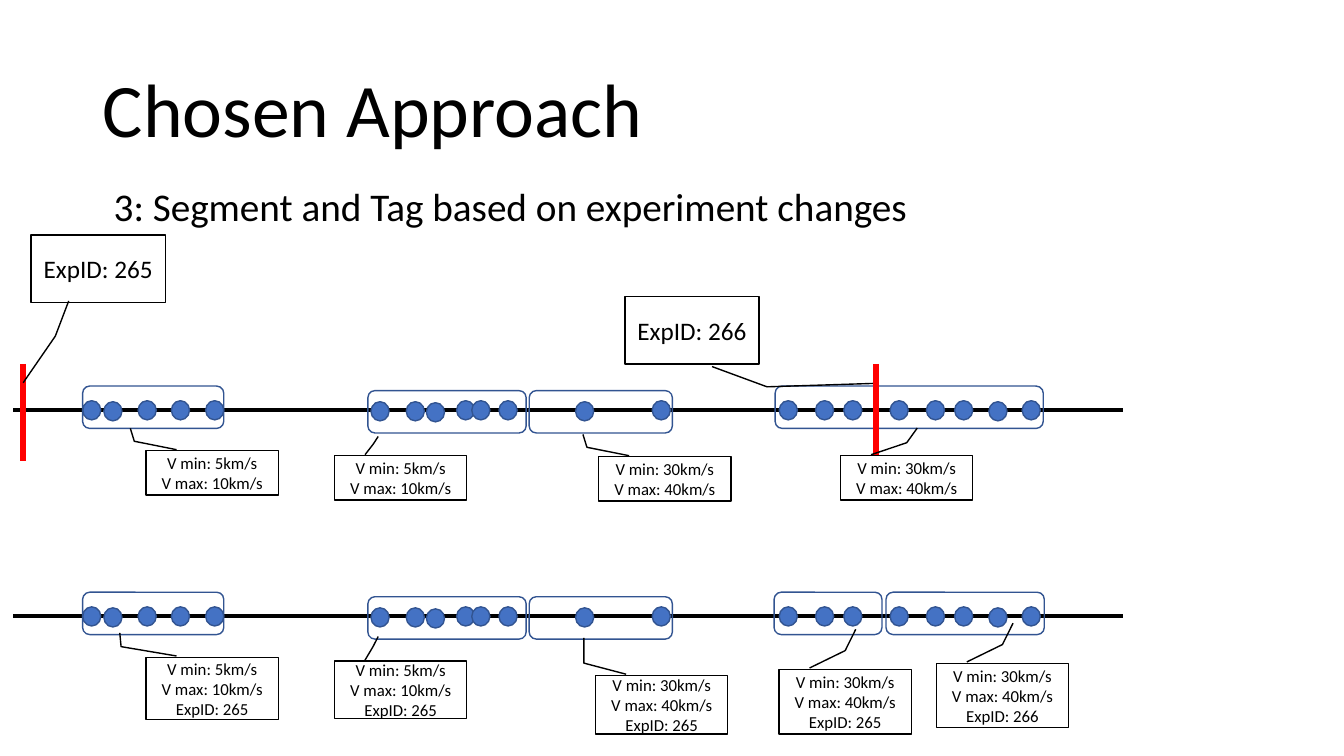
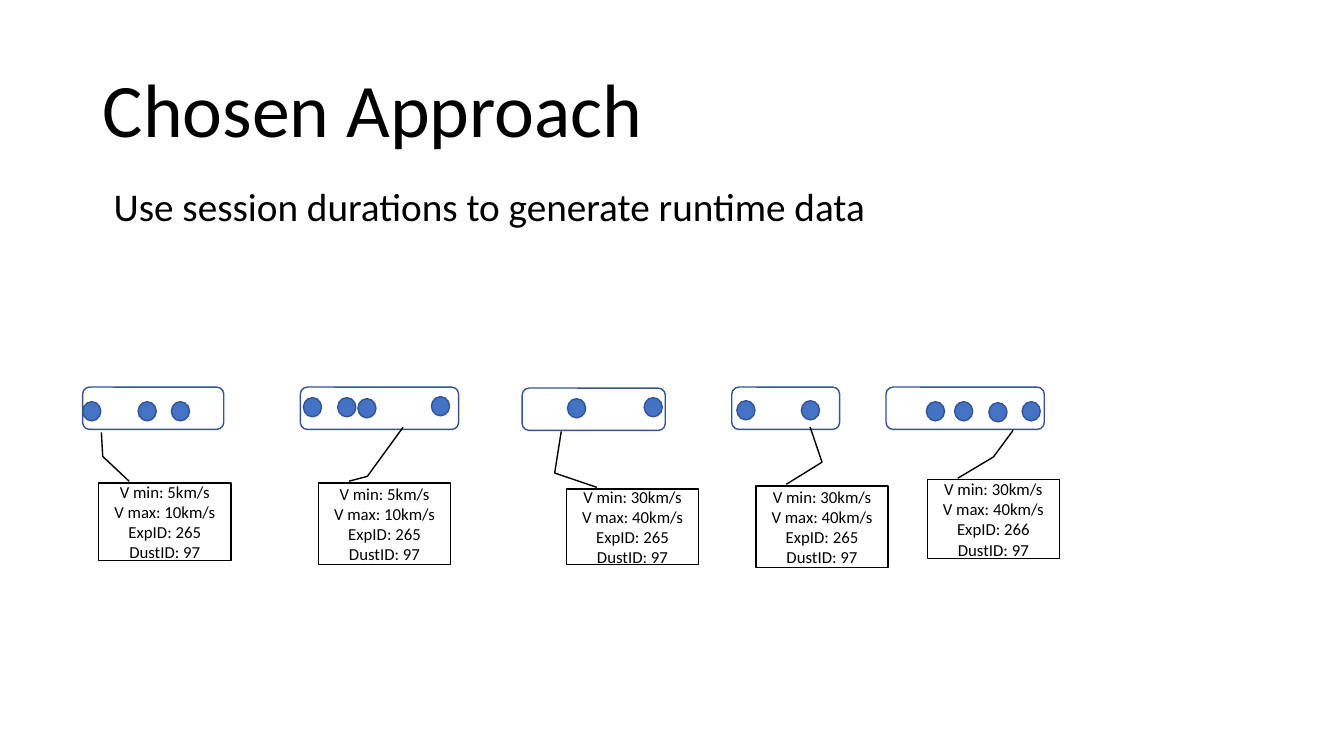
from lxml.etree import SubElement
from pptx import Presentation
from pptx.dml.color import RGBColor
from pptx.enum.shapes import MSO_CONNECTOR, MSO_SHAPE
from pptx.enum.text import MSO_ANCHOR, MSO_AUTO_SIZE, PP_ALIGN
from pptx.oxml.ns import qn
from pptx.util import Inches, Pt

# Shared look: a grid of tenth-inch cells, one font, five colours
CELL = Inches(0.1)
FONT = "Calibri"
BLACK, WHITE, RED, BLUE, NAVY = "000000", "FFFFFF", "FF0000", "4472C4", "325491"
TITLE = (9.2, 4, 115, 14.5)
LEAD = (10.3, 17.6, 115, 5.7)
DOT = (1.8, 1.9)
BOX = 4.2
TAG = 13.1
ROOT = (-0.02, 0.23)
ink = RGBColor.from_string


def span(*cells):
    return [round(cell * CELL) for cell in cells]


def put(page, kind, cells, fill=None, edge=BLACK, width=1):
    """Add a preset shape, or a straight line when kind is None."""
    if kind is None:
        item = page.shapes.add_connector(MSO_CONNECTOR.STRAIGHT, *span(*cells))
    else:
        item = page.shapes.add_shape(kind, *span(*cells))
        item.shadow.inherit = False
        if fill:
            item.fill.solid()
            item.fill.fore_color.rgb = ink(fill)
        else:
            item.fill.background()
    item.line.color.rgb = ink(edge)
    item.line.width = Pt(width)
    if kind is None:
        SubElement(item._element.spPr, qn("a:effectLst"))
    return item


# Wording of the tags
SLOW = ["V min: 5km/s", "V max: 10km/s"]
FAST = ["V min: 30km/s", "V max: 40km/s"]
OLD, NEW, DUST = ["ExpID: 265"], ["ExpID: 266"], ["DustID: 97"]

# Dots as (column, drop) and boxes as (column, drop, width), from the row's axis
dots = [(8.2, 0), (10.3, 0.1), (13.7, 0), (17, 0), (20.4, 0),
        (36.8, 0.1), (40.3, 0.1), (42.3, 0.2), (45.3, 0), (46.8, 0), (49.5, 0),
        (57.1, 0.1), (64.7, 0), (77.3, 0), (80.9, 0), (83.7, 0),
        (88.3, 0), (91.9, 0), (94.7, 0), (98.1, 0.1), (101.4, 0)]
left = [(8.2, 0, 14), (36.5, 0.45, 15.7), (52.5, 0.45, 14.2)]
picked = [(8.2, 0), (13.7, 0), (17, 0), (30.1, -0.4), (33.5, -0.4),
          (35.5, -0.3), (42.8, -0.5), (56.3, -0.3), (63.9, -0.4),
          (73.1, -0.1), (79.5, -0.1),
          (91.9, 0), (94.7, 0), (98.1, 0.1), (101.4, 0)]
chunks = [(8.2, 0, 14), (29.8, 0, 15.7), (51.8, 0.1, 14.2),
          (72.6, 0, 10.7), (87.9, 0, 15.7)]

# Tags as (column, row, height, lines, bend and tip of the leader)
split = [(14.5, 44.7, 4.4, SLOW, (-0.21, -0.09, -0.5, -0.12)),
         (33.2, 45.2, 4.4, SLOW, (-0.25, 0.29, -0.43, 0.33)),
         (59.4, 45.3, 4.4, FAST, (-0.21, -0.09, -0.5, -0.12)),
         (83.4, 45.2, 4.4, FAST, (-0.29, 0.5, -0.62, 0.58))]
joined = [(14.5, 65.2, 6.2, SLOW + OLD, (-0.17, -0.19, -0.39, -0.2)),
          (33.2, 65.6, 5.7, SLOW + OLD, (-0.25, 0.29, -0.43, 0.33)),
          (59.1, 67, 5.8, FAST + OLD, (-0.21, -0.09, -0.64, -0.09)),
          (92.9, 65.8, 6.4, FAST + NEW, (-0.29, 0.5, -0.62, 0.58)),
          (77.3, 66.4, 6.4, FAST + OLD, (-0.29, 0.5, -0.62, 0.58))]
final = [(9.8, 47.9, 7.7, SLOW + OLD + DUST, (-0.34, 0.03, -0.65, 0.02)),
         (31.6, 47.9, 8.1, SLOW + OLD + DUST, (-0.08, 0.37, -0.68, 0.64)),
         (56.2, 48.5, 7.5, FAST + OLD + DUST, (-0.21, -0.09, -0.76, -0.04)),
         (92, 47.6, 7.8, FAST + NEW + DUST, (-0.29, 0.5, -0.63, 0.65)),
         (75, 48.2, 8.1, FAST + OLD + DUST, (-0.29, 0.5, -0.72, 0.41))]

# Experiment changes as (mark column, sign column, sign row, lines, leader)
shifts = [(2.3, 3.1, 23.3, OLD, (0.98, 0.28, 1.5, 0.18, 2.19, -0.06)),
          (86.9, 62, 29.4, NEW, (1.04, 0.65, 1.34, 1.06, 1.29, 1.85))]

# Slides as (lead line, rows, changes); rows as (axis, drawn, dots, boxes, tags)
pages = [
    ("3: Segment and Tag based on experiment changes",
     [(40.7, True, dots, left + [(76.9, 0, 26.6)], split),
      (61.15, True, dots, left + [(76.8, 0, 10.7), (87.9, 0, 15.7)], joined)],
     shifts),
    ("Use session durations to generate runtime data",
     [(40.8, False, picked, chunks, final)], []),
]

deck = Presentation()
deck.slide_width, deck.slide_height = span(133.33, 75)

for lead, rows, marks in pages:
    page = deck.slides.add_slide(deck.slide_layouts[5])

    # Title and lead line
    head = page.shapes.title
    head.left, head.top, head.width, head.height = span(*TITLE)
    head.text_frame.auto_size = MSO_AUTO_SIZE.NONE
    note = page.shapes.add_textbox(*span(*LEAD))
    note.text_frame.auto_size = MSO_AUTO_SIZE.SHAPE_TO_FIT_TEXT
    texts = [(head, ["Chosen Approach"], 54, PP_ALIGN.LEFT, 0.9),
             (note, [lead], 28, PP_ALIGN.LEFT, 1)]

    # Time lines with their dots and session boxes
    for axis, drawn, spots, boxes, tags in rows:
        if drawn:
            put(page, None, (1.3, axis, 111.4, axis), width=3)
        for x, drop in spots:
            put(page, MSO_SHAPE.OVAL, (x, axis - DOT[1] / 2 + drop, *DOT),
                BLUE, NAVY)
        for x, drop, wide in boxes:
            put(page, MSO_SHAPE.ROUNDED_RECTANGLE,
                (x, axis - 2.4 + drop, wide, BOX), edge=NAVY)

    # Red marks and callouts
    calls = []
    for mark, x, y, lines, bend in marks:
        put(page, None, (mark, 36.1, mark, 45.7), edge=RED, width=4.5)
        calls.append(((x, y, 13.3, 6.7), lines, 18, bend))
    for axis, drawn, spots, boxes, tags in rows:
        for x, y, high, lines, bend in tags:
            calls.append(((x, y, TAG, high), lines, 12, ROOT + bend))
    for cells, lines, size, bend in calls:
        call = put(page, MSO_SHAPE.LINE_CALLOUT_2, cells, WHITE)
        for i, share in enumerate(bend):
            call.adjustments[i] = share
        texts.append((call, lines, size, PP_ALIGN.CENTER, 1))

    # All wording, run by run
    for item, lines, size, align, space in texts:
        frame = item.text_frame
        frame.word_wrap = True
        frame.vertical_anchor = MSO_ANCHOR.TOP if item is note else MSO_ANCHOR.MIDDLE
        for i, line in enumerate(lines):
            para = frame.add_paragraph() if i else frame.paragraphs[0]
            para.alignment = align
            para.line_spacing = space
            run = para.add_run()
            run.text = line
            run.font.name = FONT
            run.font.size = Pt(size)
            run.font.color.rgb = ink(BLACK)

deck.save("out.pptx")
